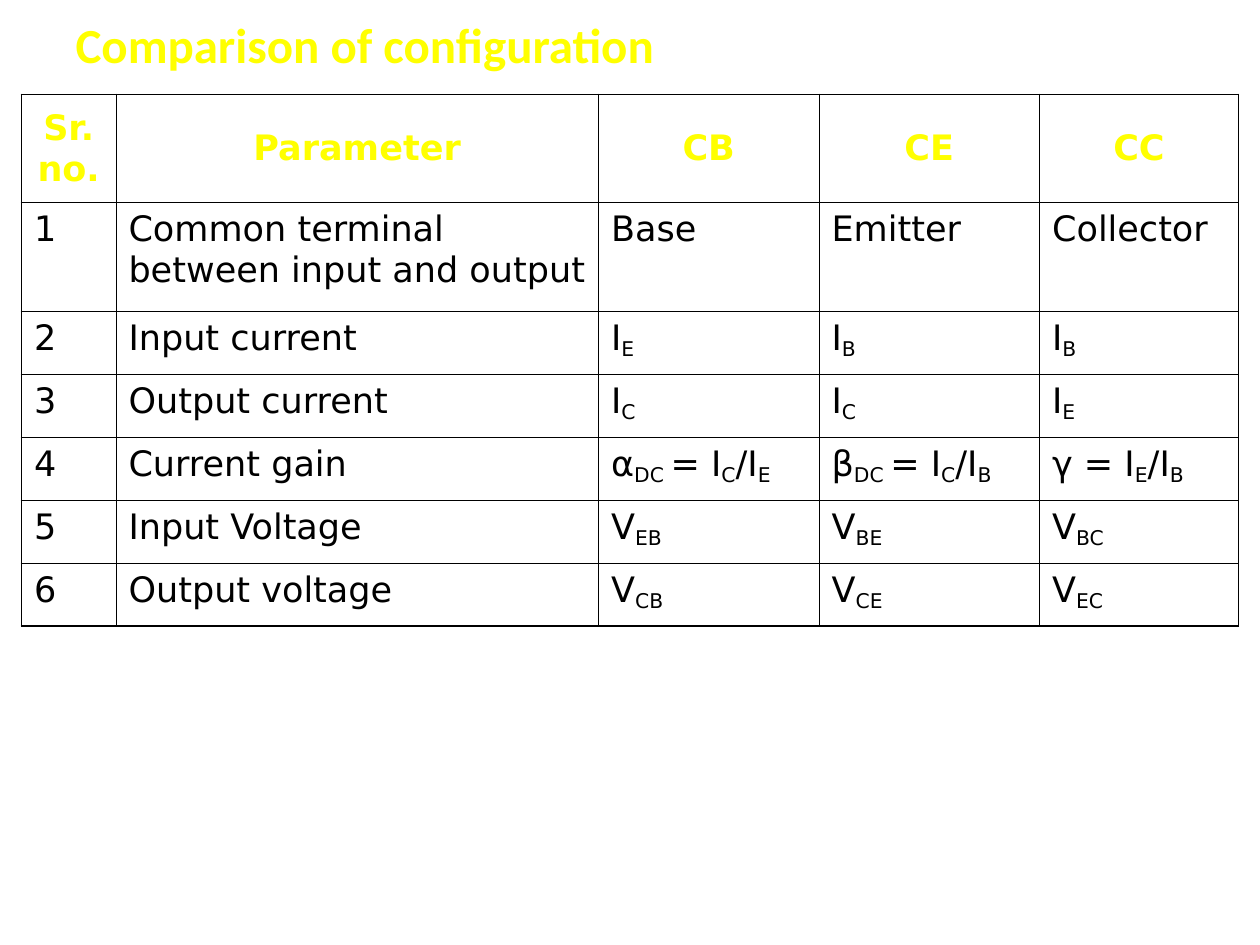
from lxml.etree import SubElement as Sub
from pptx import Presentation as Deck
from pptx.dml.color import RGBColor as Rgb
from pptx.enum.text import MSO_ANCHOR as Anchor, MSO_AUTO_SIZE as Fit, PP_ALIGN as Align
from pptx.oxml.ns import qn
from pptx.util import Inches, Pt

HUES = {"head": "FFFF00", "ink": "000000"}
COLS = [0.75, 3.83, 1.75, 1.75, 1.58]
ROWS = [0.86, 0.86] + [0.5] * 5
THIN, THICK = 0.45, 1.08
SUB = "|"
DATA = [
    ["Sr.no.", "Parameter", "CB", "CE", "CC"],
    ["1", "Common terminal between input and output", "Base", "Emitter", "Collector"],
    ["2", "Input current", "I|E", "I|B", "I|B"],
    ["3", "Output current", "I|C", "I|C", "I|E"],
    ["4", "Current gain", "α|DC |= I|C|/I|E", "β|DC |= I|C|/I|B", "γ = I|E|/I|B"],
    ["5", "Input Voltage", "V|EB", "V|BE", "V|BC"],
    ["6", "Output voltage", "V|CB", "V|CE", "V|EC"],
]


class Page:
    def __init__(self, deck):
        self.slide = deck.slides.add_slide(deck.slide_layouts[5])

    def style(self, run, face, size, hue, bold):
        font = run.font
        font.name, font.size, font.bold = face, Pt(size), bold
        font.color.rgb = Rgb.from_string(HUES[hue])

    def title(self, text, left, top, width, height):
        box = self.slide.shapes.title
        box.left, box.top = Inches(left), Inches(top)
        box.width, box.height = Inches(width), Inches(height)
        frame = box.text_frame
        frame.text = text
        frame.auto_size = Fit.NONE
        frame.vertical_anchor = Anchor.MIDDLE
        para = frame.paragraphs[0]
        para.alignment = Align.LEFT
        self.style(para.runs[0], "Calibri", 28, "head", True)

    def border(self, cell, sides):
        props = cell._tc.get_or_add_tcPr()
        for side, outer in sides.items():
            width = Pt(THICK if outer else THIN)
            line = Sub(props, qn(f"a:ln{side}"), w=str(int(width)))
            fill = Sub(line, qn("a:solidFill"))
            Sub(fill, qn("a:srgbClr"), val=HUES["ink"])

    def fill(self, cell, text, head):
        cell.fill.background()
        cell.vertical_anchor = Anchor.MIDDLE if head else Anchor.TOP
        para = cell.text_frame.paragraphs[0]
        para.alignment = Align.CENTER if head else Align.LEFT
        for num, part in enumerate(text.split(SUB)):
            run = para.add_run()
            run.text = part
            self.style(run, "DejaVu Sans", 20, "head" if head else "ink", head)
            if num % 2:
                run._r.get_or_add_rPr().set("baseline", "-18000")

    def table(self, data, left, top, cols, rows):
        grid = self.slide.shapes.add_table(
            len(rows), len(cols), Inches(left), Inches(top),
            Inches(sum(cols)), Inches(sum(rows))).table
        grid.first_row = grid.horz_banding = False
        for col, width in zip(grid.columns, cols):
            col.width = Inches(width)
        for row, height in zip(grid.rows, rows):
            row.height = Inches(height)
        for y, line in enumerate(data):
            for x, text in enumerate(line):
                cell = grid.cell(y, x)
                self.border(cell, {"L": x == 0, "R": x == len(cols) - 1,
                                   "T": y == 0, "B": y == len(rows) - 1})
                self.fill(cell, text, y == 0)


def main():
    deck = Deck()
    deck.slide_width, deck.slide_height = Inches(10), Inches(7.5)
    page = Page(deck)
    page.title("Comparison of configuration", 0.5, 0.08, 9, 0.53)
    page.table(DATA, 0.17, 0.75, COLS, ROWS)
    deck.save("out.pptx")


if __name__ == "__main__":
    main()
